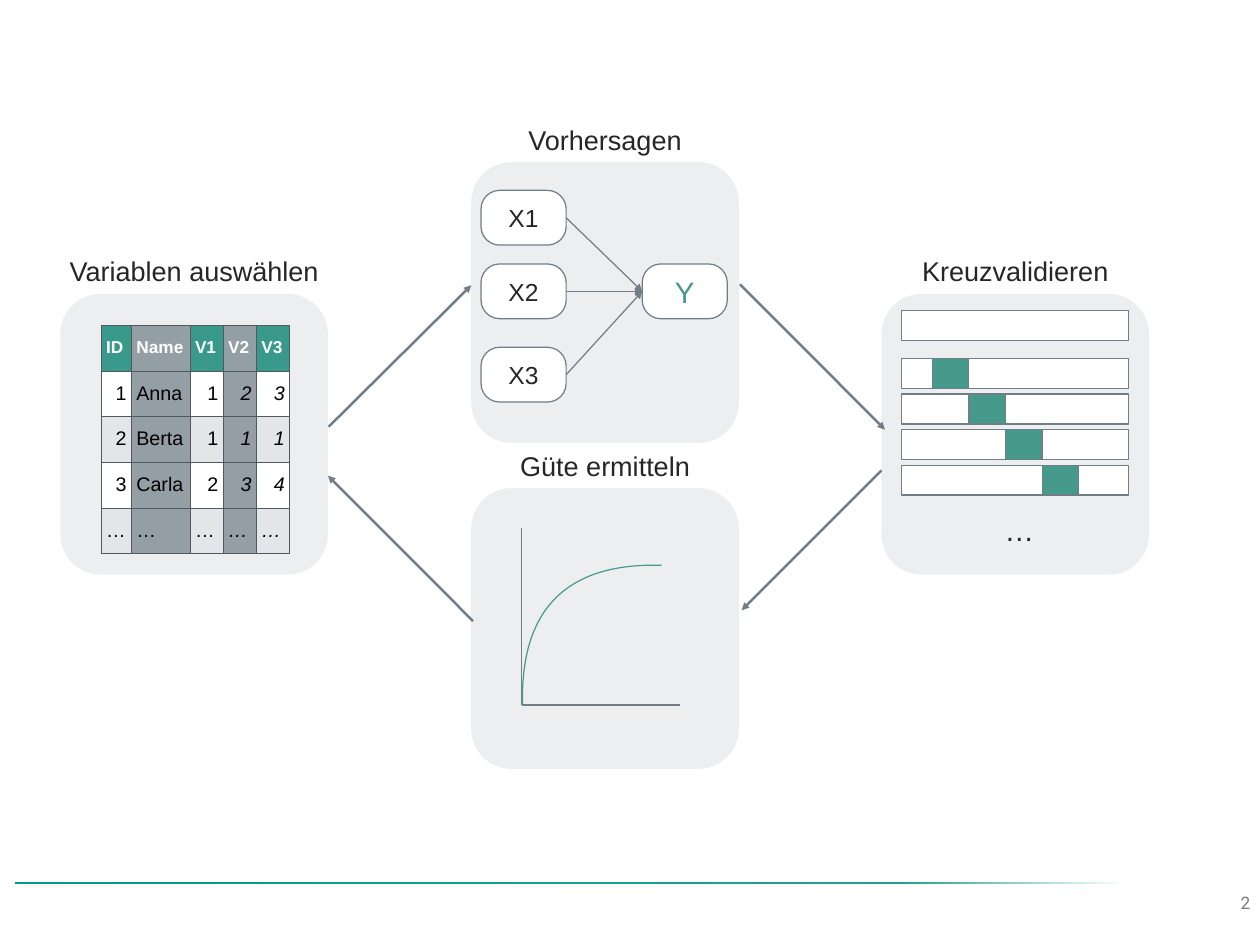
import copy

import lxml.etree
import pptx
import pptx.dml.color
import pptx.enum.shapes
import pptx.enum.text
import pptx.oxml.ns
import pptx.util

Cm = pptx.util.Cm
Pt = pptx.util.Pt
RGBColor = pptx.dml.color.RGBColor
SHAPE = pptx.enum.shapes.MSO_SHAPE
ALIGN = pptx.enum.text.PP_ALIGN
ANCHOR = pptx.enum.text.MSO_ANCHOR
qn = pptx.oxml.ns.qn

WHITE = RGBColor(0xFF, 0xFF, 0xFF)
BLACK = RGBColor(0x00, 0x00, 0x00)
INK = RGBColor(0x26, 0x26, 0x26)
SLATE = RGBColor(0x71, 0x7D, 0x87)
PANEL = RGBColor(0xED, 0xEE, 0xF0)
GREEN = RGBColor(0x46, 0x9A, 0x8B)
HEADER = RGBColor(0x39, 0x99, 0x8A)
MUTED = RGBColor(0x94, 0x9E, 0xA5)
BAND = RGBColor(0xE3, 0xE5, 0xE8)
BORDER = RGBColor(0x53, 0x58, 0x5F)
RULE_START = RGBColor(0x00, 0x99, 0x8A)
RULE_MIDDLE = RGBColor(0x23, 0xA0, 0x92)

PANEL_W, PANEL_H = 7.67, 8.05
DATA = [
    ["ID", "Name", "V1", "V2", "V3"],
    ["1", "Anna", "1", "2", "3"],
    ["2", "Berta", "1", "1", "1"],
    ["3", "Carla", "2", "3", "4"],
    ["…"] * 5,
]


def format_text(sp, text, size, color=INK, align=ALIGN.CENTER, font="Arial"):
    tf = sp.text_frame
    tf.margin_left = tf.margin_right = tf.margin_top = tf.margin_bottom = Cm(0.18)
    p = tf.paragraphs[0]
    p.text = text
    p.alignment = align
    p.font.name, p.font.size, p.font.color.rgb = font, Pt(size), color


def add_label(s, x, y, w, h, text, size, **style):
    sp = s.shapes.add_textbox(Cm(x), Cm(y), Cm(w), Cm(h))
    sp.text_frame.word_wrap = True
    format_text(sp, text, size, **style)


def add_box(s, shape, x, y, w, h, fill, line=SLATE):
    sp = s.shapes.add_shape(shape, Cm(x), Cm(y), Cm(w), Cm(h))
    sp.shadow.inherit = False
    sp.fill.solid()
    sp.fill.fore_color.rgb = fill
    if line is None:
        sp.line.fill.background()
    else:
        sp.line.color.rgb, sp.line.width = line, Pt(1)
    return sp


def add_line(s, x1, y1, x2, y2, width=1, arrow=False):
    c = s.shapes.add_connector(pptx.enum.shapes.MSO_CONNECTOR.STRAIGHT,
                               Cm(x1), Cm(y1), Cm(x2), Cm(y2))
    c.line.color.rgb, c.line.width = SLATE, Pt(width)
    sp_pr = c._element.spPr
    if arrow:
        lxml.etree.SubElement(sp_pr.find(qn("a:ln")), qn("a:tailEnd"), type="triangle")
    lxml.etree.SubElement(sp_pr, qn("a:effectLst"))
    return c


def add_panel(s, x, y, heading):
    sp = add_box(s, SHAPE.ROUNDED_RECTANGLE, x, y, PANEL_W, PANEL_H, PANEL, None)
    sp.adjustments[0] = 0.15
    add_label(s, x, y - 1.3, PANEL_W, 1.24, heading, 22)


def add_cell_borders(cell):
    tc_pr = cell._tc.get_or_add_tcPr()
    for i, side in enumerate(("a:lnL", "a:lnR", "a:lnT", "a:lnB")):
        ln = lxml.etree.Element(qn(side), w=str(Pt(0.25)))
        fill = lxml.etree.SubElement(ln, qn("a:solidFill"))
        lxml.etree.SubElement(fill, qn("a:srgbClr"), val=str(BORDER))
        tc_pr.insert(i, ln)


def format_cell(cell, text, row, col):
    header, muted = row == 0, col in (1, 3)
    cell.fill.solid()
    if muted:
        cell.fill.fore_color.rgb = MUTED
    elif header:
        cell.fill.fore_color.rgb = HEADER
    else:
        cell.fill.fore_color.rgb = WHITE if row % 2 else BAND
    cell.vertical_anchor = ANCHOR.MIDDLE
    format_text(cell, text, 14 if header else 16, WHITE if header else BLACK,
                ALIGN.RIGHT if text.isdigit() else ALIGN.LEFT)
    cell.margin_left = cell.margin_right = Cm(0.14)
    cell.margin_top = cell.margin_bottom = Cm(0.14)
    font = cell.text_frame.paragraphs[0].font
    font.bold = header
    font.italic = not header and col >= 3
    add_cell_borders(cell)


def add_variable_selection(s, x, y):
    add_panel(s, x, y, "Variablen auswählen")
    widths = [0.87, 1.68, 0.95, 0.95, 0.95]
    row_h = 1.31
    table = s.shapes.add_table(len(DATA), len(widths), Cm(x + 1.17), Cm(y + 0.89),
                               Cm(sum(widths)), Cm(row_h * len(DATA))).table
    for col, width in enumerate(widths):
        table.columns[col].width = Cm(width)
    for row, values in enumerate(DATA):
        table.rows[row].height = Cm(row_h)
        for col, text in enumerate(values):
            format_cell(table.cell(row, col), text, row, col)


def add_prediction(s, x, y):
    def add_node(dx, dy, text, size, color):
        sp = add_box(s, SHAPE.ROUNDED_RECTANGLE, x + dx, y + dy, 2.44, 1.57, WHITE)
        sp.adjustments[0] = 0.34
        format_text(sp, text, size, color)
        sp.text_frame.vertical_anchor = ANCHOR.MIDDLE
        return sp

    add_panel(s, x, y, "Vorhersagen")
    target = add_node(4.9, 2.92, "Y", 24, GREEN)
    for text, dy in (("X1", 0.81), ("X2", 2.92), ("X3", 5.31)):
        predictor = add_node(0.28, dy, text, 20, INK)
        c = add_line(s, x, y, x, y, arrow=True)
        c.begin_connect(predictor, 3)
        c.end_connect(target, 1)


def add_cross_validation(s, x, y):
    add_panel(s, x, y, "Kreuzvalidieren")
    bar_x, bar_w, bar_h = x + 0.58, 6.5, 0.86
    add_box(s, SHAPE.RECTANGLE, bar_x, y + 0.48, bar_w, bar_h, WHITE)
    for fold in range(4):
        bar_y = y + 1.85 + 1.02 * fold
        add_box(s, SHAPE.RECTANGLE, bar_x, bar_y, bar_w, bar_h, WHITE)
        add_box(s, SHAPE.RECTANGLE, x + 1.46 + 1.05 * fold, bar_y, 1.04, bar_h, GREEN)
    add_label(s, x + 3.35, y + 6.07, 1.24, 1.32, "…", 24, align=ALIGN.LEFT)


def add_quality(s, x, y):
    add_panel(s, x, y, "Güte ermitteln")
    x0, y0 = x + 1.45, y + 6.22
    add_line(s, x0, y0, x0, y0 - 5.08)
    add_line(s, x0, y0, x0 + 4.54, y0)
    add_curve(s, x0, y0, [(0.02, 0), (-0.05, -2.74), (1.27, -4.09), (4.01, -4.01)])


def add_curve(s, x0, y0, controls, steps=40):
    """Draw a cubic Bézier curve from control points relative to (x0, y0)."""
    points = []
    for i in range(steps + 1):
        t = i / steps
        weights = ((1 - t) ** 3, 3 * t * (1 - t) ** 2, 3 * t * t * (1 - t), t ** 3)
        dx, dy = (sum(w * c[k] for w, c in zip(weights, controls)) for k in (0, 1))
        points.append((Cm(x0 + dx), Cm(y0 + dy)))
    builder = s.shapes.build_freeform(*points[0])
    builder.add_line_segments(points[1:], close=False)
    sp = builder.convert_to_shape()
    sp.shadow.inherit = False
    sp.fill.background()
    sp.line.color.rgb, sp.line.width = GREEN, Pt(1)


def add_cycle_arrows(s):
    for ends in ((9.42, 12.24, 13.51, 8.18), (21.21, 8.15, 25.37, 12.32),
                 (25.27, 13.49, 21.26, 17.5), (13.56, 17.81, 9.4, 13.64)):
        add_line(s, *ends, width=2, arrow=True)


def add_footer(s, x, y):
    sp = add_box(s, SHAPE.RECTANGLE, x, y, 31.9, 0.05, WHITE, None)
    sp.fill.gradient()
    sp.fill.gradient_angle = 0
    stops = sp._element.spPr.find(".//" + qn("a:gsLst"))
    stops.insert(1, copy.deepcopy(stops[0]))
    colors = ((0, RULE_START), (0.8, RULE_MIDDLE), (1, WHITE))
    for stop, (position, color) in zip(sp.fill.gradient_stops, colors):
        stop.position, stop.color.rgb = position, color
    add_label(s, x + 29.57, y + 0.1, 6.02, 0.91, "2", 14,
              color=SLATE, align=ALIGN.RIGHT, font="Roboto")


def main():
    prs = pptx.Presentation()
    prs.slide_width, prs.slide_height = Cm(36.12), Cm(27.1)
    s = prs.slides.add_slide(prs.slide_layouts[6])
    add_footer(s, 0.43, 25.3)
    add_variable_selection(s, 1.73, 8.43)
    add_cross_validation(s, 25.27, 8.43)
    add_prediction(s, 13.51, 4.65)
    add_quality(s, 13.51, 14)
    add_cycle_arrows(s)
    prs.save("out.pptx")


if __name__ == "__main__":
    main()
